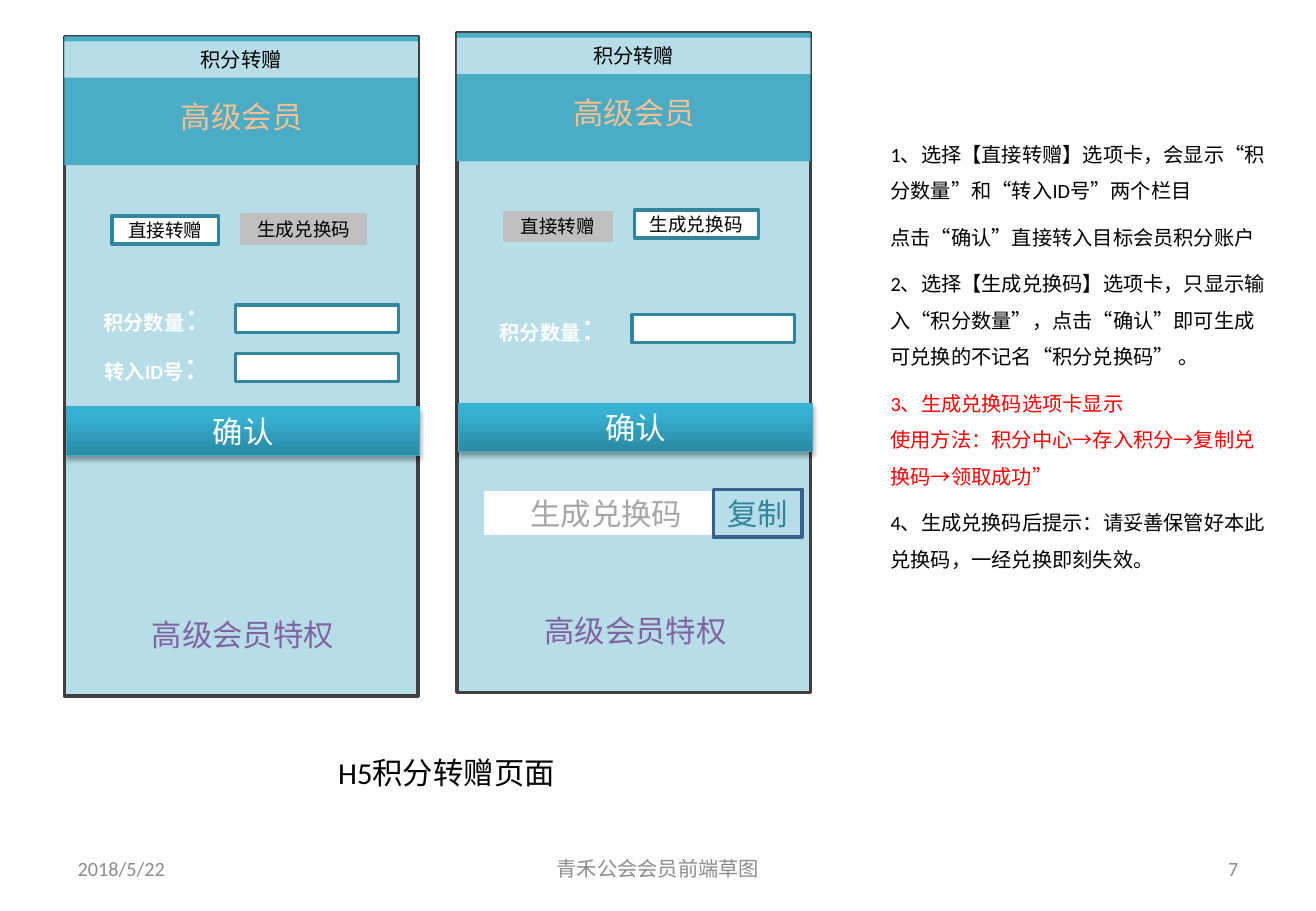
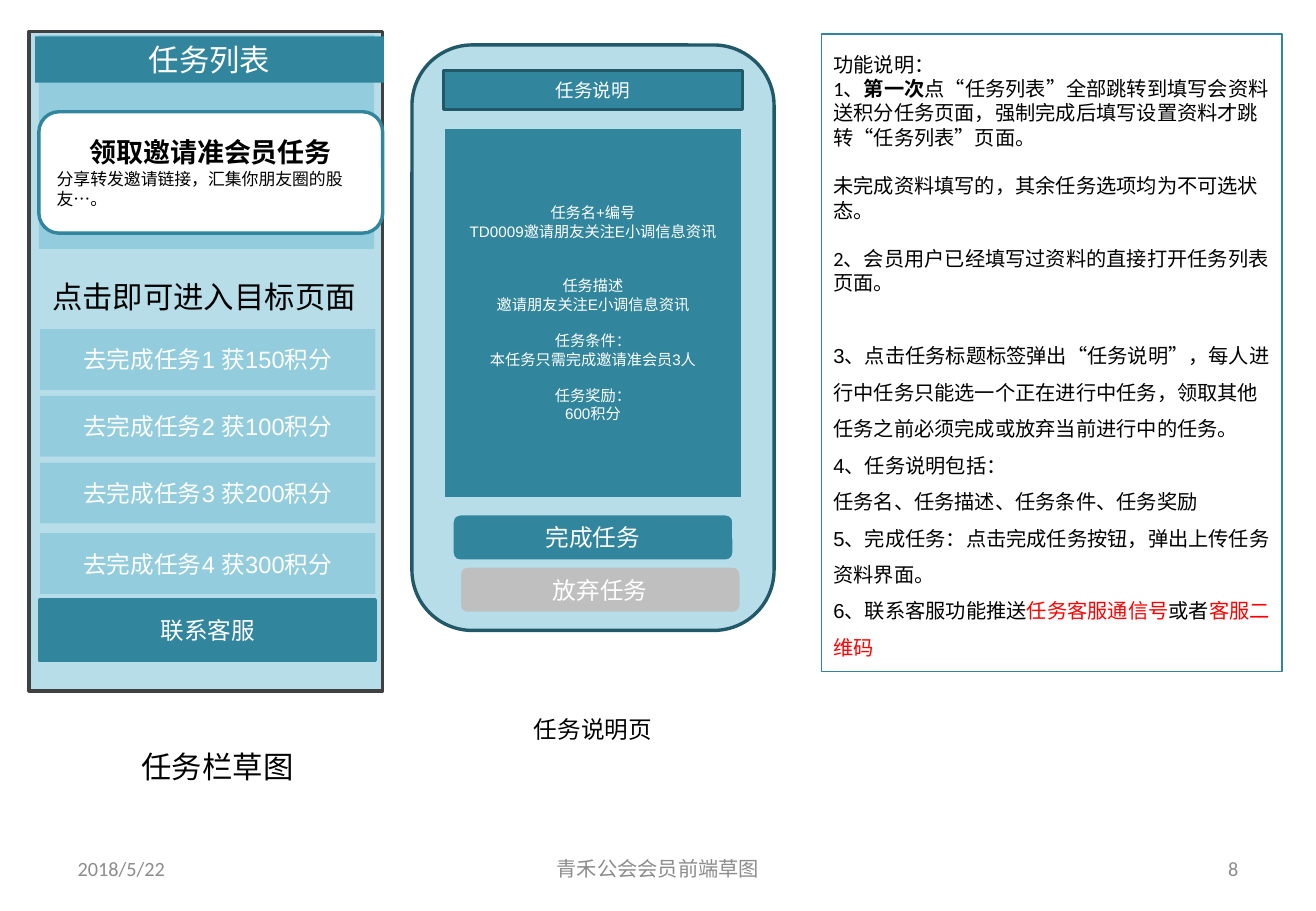
from copy import deepcopy
from dataclasses import dataclass, replace

from lxml import etree
from pptx import Presentation
from pptx.dml.color import RGBColor
from pptx.enum.lang import MSO_LANGUAGE_ID
from pptx.enum.shapes import MSO_SHAPE
from pptx.enum.text import MSO_ANCHOR, MSO_AUTO_SIZE, PP_ALIGN
from pptx.oxml.ns import qn
from pptx.shapes.autoshape import Shape
from pptx.slide import Slide
from pptx.text.text import TextFrame
from pptx.util import Inches, Pt

RECT, ROUND = MSO_SHAPE.RECTANGLE, MSO_SHAPE.ROUNDED_RECTANGLE
TOP, MIDDLE = MSO_ANCHOR.TOP, MSO_ANCHOR.MIDDLE
LEFT, CENTER, RIGHT = PP_ALIGN.LEFT, PP_ALIGN.CENTER, PP_ALIGN.RIGHT
NO_AUTOFIT = MSO_AUTO_SIZE.NONE
CHINESE = MSO_LANGUAGE_ID.SIMPLIFIED_CHINESE

BLACK = RGBColor(0x00, 0x00, 0x00)
WHITE = RGBColor(0xFF, 0xFF, 0xFF)
RED = RGBColor(0xFF, 0x00, 0x00)
CHARCOAL = RGBColor(0x40, 0x40, 0x40)
FOOTER_GRAY = RGBColor(0x8C, 0x8C, 0x8C)
HINT_GRAY = RGBColor(0xA6, 0xA6, 0xA6)
SILVER = RGBColor(0xBF, 0xBF, 0xBF)
PALE = RGBColor(0xB7, 0xDE, 0xE8)
SKY = RGBColor(0x93, 0xCD, 0xDD)
AQUA = RGBColor(0x4B, 0xAC, 0xC6)
TEAL = RGBColor(0x31, 0x85, 0x9C)
DEEP = RGBColor(0x21, 0x59, 0x68)
NAVY = RGBColor(0x3A, 0x5F, 0x8C)
PEACH = RGBColor(0xFA, 0xC0, 0x90)
PURPLE = RGBColor(0x80, 0x64, 0xA2)
BUTTON_EDGE = RGBColor(0x46, 0xAA, 0xC5)
BUTTON_STOPS = (
    (0, RGBColor(0x2A, 0x88, 0xA2)),
    (0.8, RGBColor(0x37, 0xB1, 0xD2)),
    (1, RGBColor(0x34, 0xB4, 0xD6)),
)

CELL = Inches(0.1)
COLUMNS, ROWS = 108.3, 75
FOOTER_ROW = 69.5
PHONE_W, PHONE_H = 29.1, 54.3


@dataclass(frozen=True)
class Run:
    """A stretch of text with its departures from the paragraph font."""
    text: str
    size: float | None = None
    color: RGBColor | None = None
    bold: bool | None = None


@dataclass(frozen=True)
class Para:
    """A paragraph and its font."""
    runs: str | tuple[Run, ...]
    size: float = 12
    color: RGBColor = BLACK
    font: str = "Calibri"
    bold: bool = False
    align: PP_ALIGN = CENTER
    spacing: float = 1
    before: float = 0


@dataclass(frozen=True)
class Box:
    """A shape or text box placed in grid columns and rows."""
    x: float
    y: float
    w: float
    h: float
    paras: tuple[Para, ...] = ()
    fill: RGBColor | None = None
    line: RGBColor | None = None
    weight: float = 2
    outline: MSO_SHAPE = RECT
    anchor: MSO_ANCHOR = MIDDLE


@dataclass(frozen=True)
class Phone:
    """A transfer screen with its chosen tab and input fields."""
    x: float
    y: float
    chosen: int
    code_tab_row: float
    field_x: float
    fields: tuple[tuple[float, str], ...]


@dataclass(frozen=True)
class Task:
    """A row of the task list."""
    row: float
    number: int
    points: int


def write(tf: TextFrame, paras: tuple[Para, ...], anchor: MSO_ANCHOR) -> None:
    """Fill a text frame with paragraphs."""
    tf.word_wrap = True
    tf.auto_size = NO_AUTOFIT
    tf.vertical_anchor = anchor
    for i, para in enumerate(paras):
        p = tf.add_paragraph() if i else tf.paragraphs[0]
        p.alignment = para.align
        p.line_spacing = para.spacing
        p.space_before = Pt(para.before)
        p.font.name, p.font.size, p.font.bold = para.font, Pt(para.size), para.bold
        p.font.color.rgb = para.color
        p.font.language_id = CHINESE
        if isinstance(para.runs, str):
            p.text = para.runs
            continue
        for run in para.runs:
            r = p.add_run()
            r.text = run.text
            if run.size is not None:
                r.font.size = Pt(run.size)
            if run.bold is not None:
                r.font.bold = run.bold
            if run.color is not None:
                r.font.color.rgb = run.color


def draw(slide: Slide, box: Box) -> Shape:
    """Draw a box and its text."""
    frame = [round(v * CELL) for v in (box.x, box.y, box.w, box.h)]
    if box.fill is None:
        sp = slide.shapes.add_textbox(*frame)
    else:
        sp = slide.shapes.add_shape(box.outline, *frame)
        sp.shadow.inherit = False
        sp.fill.solid()
        sp.fill.fore_color.rgb = box.fill
        if box.line is None:
            sp.line.fill.background()
        else:
            sp.line.color.rgb = box.line
            sp.line.width = Pt(box.weight)
    if box.paras:
        write(sp.text_frame, box.paras, box.anchor)
    return sp


def style_button(sp: Shape) -> None:
    """Give a button its gradient and soft drop shadow."""
    sp.fill.gradient()
    sp.fill.gradient_angle = 90
    stops = next(sp.element.iter(qn("a:gsLst")))
    stops.append(deepcopy(stops[-1]))
    for stop, (position, color) in zip(sp.fill.gradient_stops, BUTTON_STOPS):
        stop.position = position
        stop.color.rgb = color
    effects = next(sp.element.iter(qn("a:effectLst")))
    shadow = etree.SubElement(effects, qn("a:outerShdw"), blurRad=str(Pt(3.1)),
                              dist=str(Pt(1.8)), dir="5400000", rotWithShape="0")
    color = etree.SubElement(shadow, qn("a:srgbClr"), val=str(BLACK))
    etree.SubElement(color, qn("a:alpha"), val="35000")


def add_page(prs: Presentation, title: str, frame: tuple[float, ...], number: int) -> Slide:
    """Add a slide with its title and footer."""
    slide = prs.slides.add_slide(prs.slide_layouts[5])
    sp = slide.shapes.title
    sp.left, sp.top, sp.width, sp.height = (round(v * CELL) for v in frame)
    write(sp.text_frame, (Para(title, 18),), TOP)
    for x, w, text, align in ((5.4, 25.3, "2018/5/22", LEFT),
                              (77.6, 25.3, str(number), RIGHT),
                              (37, 34.3, "青禾公会会员前端草图", CENTER)):
        draw(slide, Box(x, FOOTER_ROW, w, 4, (Para(text, 12, FOOTER_GRAY, align=align),)))
    return slide


def draw_phone(slide: Slide, phone: Phone) -> None:
    """Draw one transfer screen."""
    def place(box: Box) -> Shape:
        """Draw a box measured from the corner of the screen."""
        return draw(slide, replace(box, x=phone.x + box.x, y=phone.y + box.y))

    place(Box(0, 0, PHONE_W, PHONE_H, fill=PALE, line=CHARCOAL))
    place(Box(0, 0, PHONE_W, 10.6, fill=AQUA))
    place(Box(0, 0.4, PHONE_W, 3, (Para("积分转赠"),), PALE, anchor=TOP))
    place(Box(0.8, 4.6, 27.6, 4, (Para("高级会员", 18, PEACH),), anchor=TOP))
    place(Box(2.5, 47.2, 24.4, 4, (Para("高级会员特权", 18, PURPLE),), anchor=TOP))
    style_button(place(Box(0.15, 30.5, PHONE_W, 4, (Para("确认", 18, WHITE),),
                           AQUA, BUTTON_EDGE, 0.75, anchor=TOP)))
    tabs = ((3.9, 14.8, 8.8, "直接转赠"), (14.6, phone.code_tab_row, 10.2, "生成兑换码"))
    for i, (x, y, w, text) in enumerate(tabs):
        fill, line = (WHITE, TEAL) if i == phone.chosen else (SILVER, SILVER)
        place(Box(x, y, w, 2.3, (Para(text, 11),), fill, line))
    for y, label in phone.fields:
        runs = (Run(label), Run("：", 18, bold=False))
        place(Box(phone.field_x, y, 12.6, 2.3, (Para(runs, 12, WHITE, bold=True),)))
        place(Box(phone.field_x + 12.6, y, 13.4, 2.3, fill=WHITE, line=TEAL))


def build_transfer(prs: Presentation) -> None:
    """Build the points transfer slide."""
    slide = add_page(prs, "H5积分转赠页面", (26.1, 61.6, 21.3, 4), 7)
    draw_phone(slide, Phone(5.3, 3, 0, 14.7, 1.5, ((22.1, "积分数量"), (26.1, "转入ID号"))))
    draw_phone(slide, Phone(37.6, 2.7, 1, 14.6, 1.8, ((23.2, "积分数量"),)))
    draw(slide, Box(39.7, 40.3, 20.4, 3.9, (Para("生成兑换码", 18, HINT_GRAY),), WHITE, PALE))
    draw(slide, Box(58.7, 40.3, 7.3, 3.9, (Para("复制", 18, TEAL),), PALE, NAVY))
    notes = (
        ("1、选择【直接转赠】选项卡，会显示“积分数量”和“转入ID号”两个栏目", BLACK),
        ("点击“确认”直接转入目标会员积分账户", BLACK),
        ("2、选择【生成兑换码】选项卡，只显示输入“积分数量”，点击“确认”即可生成"
         "可兑换的不记名“积分兑换码” 。", BLACK),
        ("3、生成兑换码选项卡显示\v使用方法：积分中心→存入积分→复制兑换码→领取成功”", RED),
        ("4、生成兑换码后提示：请妥善保管好本此兑换码，一经兑换即刻失效。", BLACK),
    )
    paras = tuple(Para(text, color=color, align=LEFT, spacing=1.5, before=6)
                  for text, color in notes)
    draw(slide, Box(72.3, 10.2, 33.1, 41.6, paras, anchor=TOP))


def draw_task_list(slide: Slide) -> None:
    """Draw the task list screen."""
    draw(slide, Box(2.4, 2.6, PHONE_W, PHONE_H, fill=PALE, line=CHARCOAL))
    draw(slide, Box(3.2, 2.9, 27.6, 17.6, fill=SKY))
    for task in (Task(27.1, 1, 150), Task(32.6, 2, 100), Task(38.1, 3, 200), Task(43.9, 4, 300)):
        text = f"去完成任务{task.number} 获{task.points}积分"
        draw(slide, Box(3.3, task.row, 27.6, 5, (Para(text, 14, WHITE, "Arial"),), SKY))
    draw(slide, Box(3.3, 49.4, 27.6, 5, (Para("联系客服", 14, WHITE, "Arial"),), TEAL, TEAL))
    draw(slide, Box(2.9, 3, 28.7, 3.8, (Para("任务列表", 18, WHITE),), TEAL))
    draw(slide, Box(3.3, 22.4, 27.4, 4.1, (Para("点击即可进入目标页面", 18, align=LEFT),),
                    anchor=TOP))
    invitation = (
        Para("领取邀请准会员任务", 16, bold=True),
        Para("分享转发邀请链接，汇集你朋友圈的股友…。", 10, font="Noto Sans CJK SC", align=LEFT),
    )
    draw(slide, Box(3.2, 9.2, 28.3, 10, invitation, WHITE, TEAL, outline=ROUND))


def draw_task_detail(slide: Slide) -> None:
    """Draw the task description screen."""
    draw(slide, Box(33.9, 3.7, 29.8, 48.2, fill=PALE, line=DEEP, outline=ROUND))
    draw(slide, Box(36.5, 5.8, 24.6, 3.2, (Para("任务说明", 11, WHITE),), TEAL, DEEP))
    details = (
        ("任务名+编号", 0), ("TD0009邀请朋友关注E小调信息资讯", 0),
        ("任务描述", 21.7), ("邀请朋友关注E小调信息资讯", 0),
        ("任务条件：", 10.85), ("本任务只需完成邀请准会员3人", 0),
        ("任务奖励：", 10.85), ("600积分", 0),
    )
    paras = tuple(Para(text, 9, WHITE, "Arial", before=gap) for text, gap in details)
    draw(slide, Box(36.5, 10.5, 24.6, 30.6, paras, TEAL, PALE))
    for x, y, text, fill in ((37.2, 42.3, "完成任务", TEAL), (37.8, 46.6, "放弃任务", SILVER)):
        draw(slide, Box(x, y, 23.2, 3.9, (Para(text, 14, WHITE),), fill, PALE, outline=ROUND))
    draw(slide, Box(36.5, 58.4, 24.6, 4.6, (Para("任务说明页", 14),), anchor=TOP))


def build_tasks(prs: Presentation) -> None:
    """Build the task list slide."""
    slide = add_page(prs, "任务栏草图", (9.4, 61.1, 17, 4), 8)
    draw_task_list(slide)
    tight = Para("", align=LEFT)
    loose = replace(tight, font="Arial", spacing=1.5)
    first = (Run("1、"), Run("第一次", bold=True),
             Run("点“任务列表”全部跳转到填写会资料送积分任务页面，"
                 "强制完成后填写设置资料才跳转“任务列表”页面。"))
    service = (Run("6、联系客服功能推送"), Run("任务客服通信号", color=RED),
               Run("或者"), Run("客服二维码", color=RED))
    notes = (
        replace(loose, runs="功能说明："),
        replace(tight, runs=first),
        replace(tight, runs="未完成资料填写的，其余任务选项均为不可选状态。", before=14.4),
        replace(tight, runs="2、会员用户已经填写过资料的直接打开任务列表页面。", before=14.4),
        replace(loose, runs="3、点击任务标题标签弹出“任务说明”，每人进行中任务只能选一个"
                "正在进行中任务，领取其他任务之前必须完成或放弃当前进行中的任务。"
                "\v4、任务说明包括：\v任务名、任务描述、任务条件、任务奖励", before=21.6),
        replace(loose, runs="5、完成任务：点击完成任务按钮，弹出上传任务资料界面。"),
        replace(loose, runs=service),
    )
    draw(slide, Box(67.6, 2.8, 37.9, 52.5, notes, WHITE, TEAL, 0.75, anchor=TOP))
    draw_task_detail(slide)


def main() -> None:
    """Build and save the presentation."""
    prs = Presentation()
    prs.slide_width, prs.slide_height = round(COLUMNS * CELL), ROWS * CELL
    build_transfer(prs)
    build_tasks(prs)
    prs.save("out.pptx")


main()
